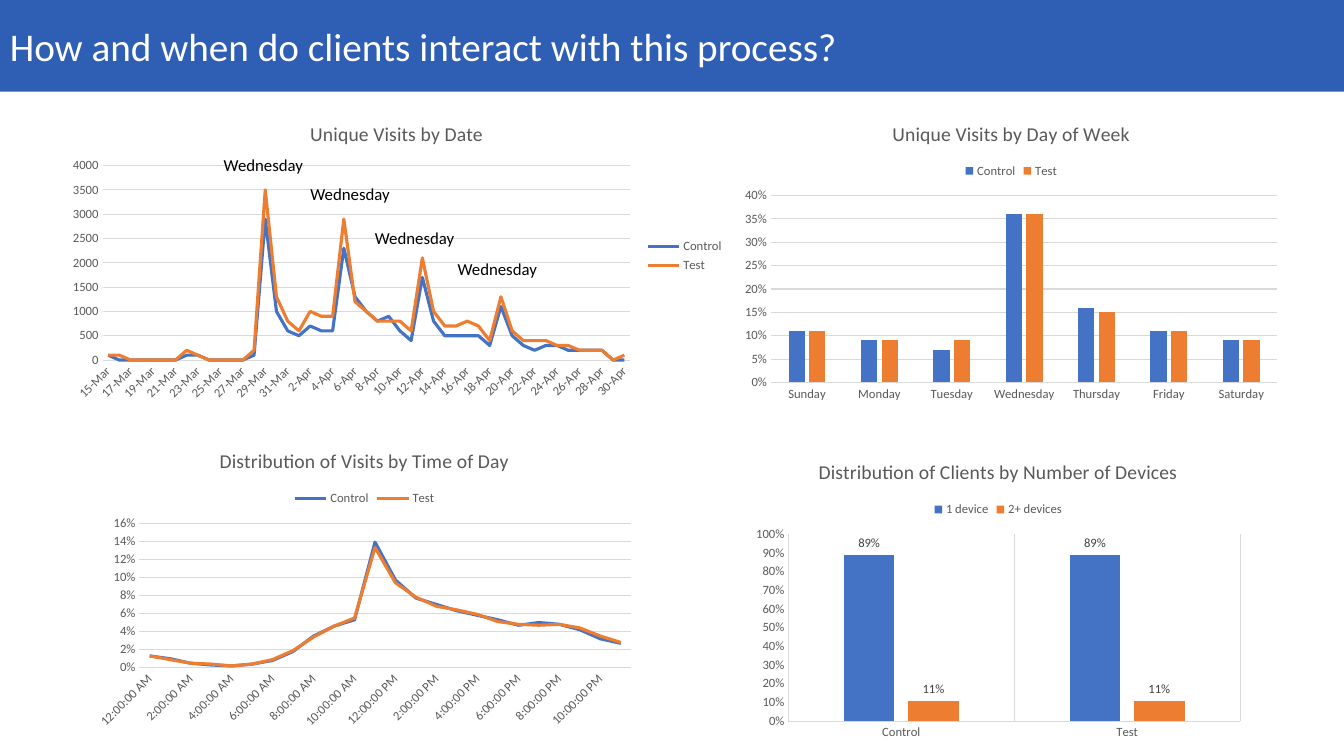
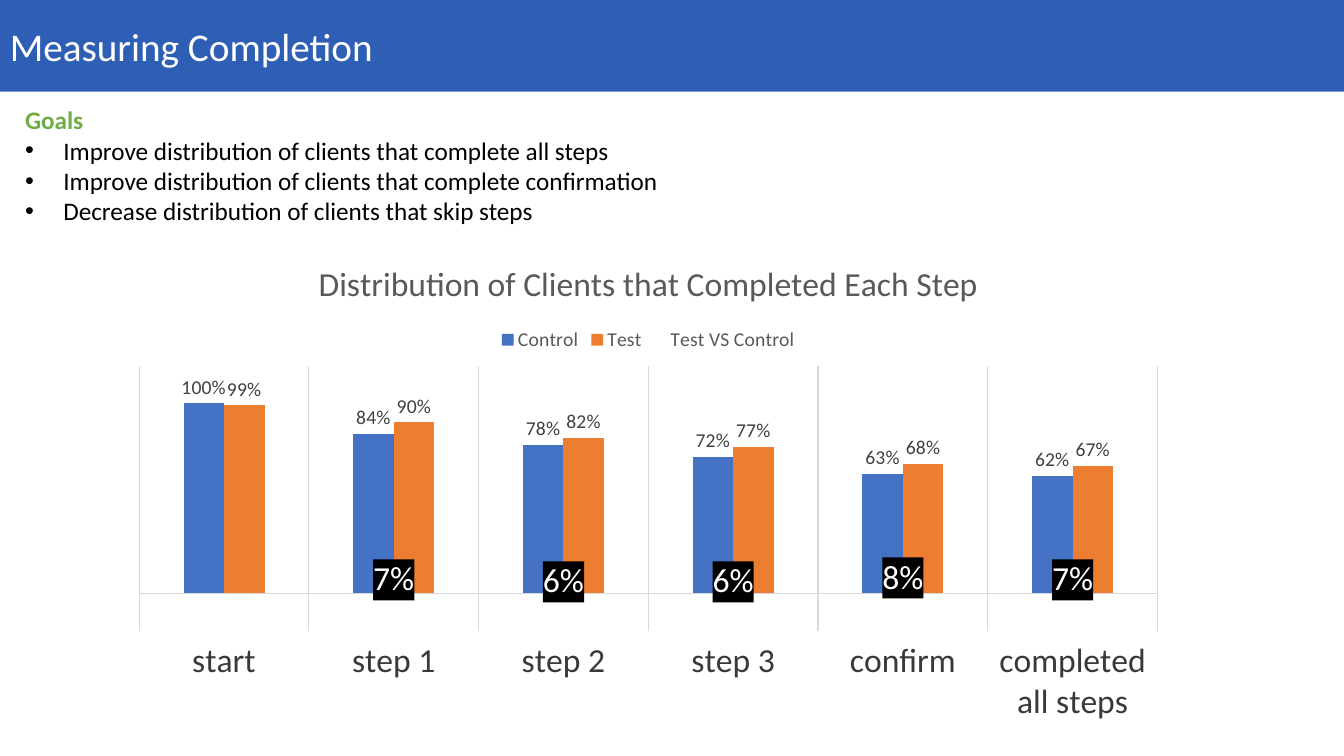
from lxml import etree
from pptx import Presentation
from pptx.chart.data import CategoryChartData
from pptx.dml.color import RGBColor
from pptx.enum.chart import XL_CHART_TYPE as ChartType
from pptx.enum.chart import XL_LABEL_POSITION as LabelPosition
from pptx.enum.chart import XL_LEGEND_POSITION as LegendPosition
from pptx.enum.chart import XL_MARKER_STYLE as MarkerStyle
from pptx.enum.chart import XL_TICK_LABEL_POSITION as TickLabels
from pptx.enum.chart import XL_TICK_MARK as TickMark
from pptx.enum.shapes import MSO_SHAPE as Shape
from pptx.enum.text import MSO_ANCHOR as Anchor
from pptx.enum.text import PP_ALIGN as Align
from pptx.oxml import parse_xml
from pptx.oxml.ns import nsdecls, qn
from pptx.util import Inches, Pt

# Shared look
FONT = "Calibri"
BAND_BLUE = RGBColor(0x2F, 0x5F, 0xB4)
BLUE = RGBColor(0x44, 0x72, 0xC4)
ORANGE = RGBColor(0xED, 0x7D, 0x31)
GREEN = RGBColor(0x70, 0xAD, 0x47)
GRID_GREY = RGBColor(0xD9, 0xD9, 0xD9)
TEXT_GREY = RGBColor(0x59, 0x59, 0x59)
LABEL_GREY = RGBColor(0x40, 0x40, 0x40)
STEP_GREY = RGBColor(0x3B, 0x38, 0x38)
WHITE = RGBColor(0xFF, 0xFF, 0xFF)
BLACK = RGBColor(0, 0, 0)
SLIDE_WIDTH = 13.33

# Category names
DATES = [f"{day}-Mar" for day in range(15, 32)] + [f"{day}-Apr" for day in range(1, 31)]
HOURS = [f"{hour}:00:00 {half}" for half in ("AM", "PM") for hour in (12, *range(1, 12))]
DAYS = ["Sunday", "Monday", "Tuesday", "Wednesday", "Thursday", "Friday", "Saturday"]
STEPS = ["start", "step 1", "step 2", "step 3", "confirm", "completed all steps"]

# Chart values
VISITS_BY_DATE = {
    "Control": [100, 0, 0, 0, 0, 0, 0, 100, 100, 0, 0, 0, 0, 100, 2900, 1000, 600, 500,
                700, 600, 600, 2300, 1300, 1000, 800, 900, 600, 400, 1700, 800, 500, 500,
                500, 500, 300, 1100, 500, 300, 200, 300, 300, 200, 200, 200, 200, 0, 0],
    "Test": [100, 100, 0, 0, 0, 0, 0, 200, 100, 0, 0, 0, 0, 200, 3500, 1300, 800, 600,
             1000, 900, 900, 2900, 1200, 1000, 800, 800, 800, 600, 2100, 1000, 700, 700,
             800, 700, 400, 1300, 600, 400, 400, 400, 300, 300, 200, 200, 200, 0, 100],
}
VISITS_BY_DAY = {
    "Control": [0.11, 0.09, 0.07, 0.36, 0.16, 0.11, 0.09],
    "Test": [0.11, 0.09, 0.09, 0.36, 0.15, 0.11, 0.09],
}
VISITS_BY_HOUR = {
    "Control": [0.013, 0.01, 0.005, 0.003, 0.002, 0.004, 0.008, 0.018, 0.035, 0.046, 0.053,
                0.139, 0.097, 0.077, 0.07, 0.063, 0.058, 0.053, 0.047, 0.05, 0.048, 0.042,
                0.032, 0.027],
    "Test": [0.013, 0.009, 0.005, 0.004, 0.002, 0.004, 0.009, 0.019, 0.034, 0.046, 0.055,
             0.133, 0.094, 0.078, 0.068, 0.064, 0.059, 0.051, 0.048, 0.047, 0.048, 0.044,
             0.035, 0.028],
}
DEVICES = {"1 device": [0.89, 0.89], "2+ devices": [0.11, 0.11]}
COMPLETION = {
    "Control": [1, 0.84, 0.78, 0.72, 0.63, 0.62],
    "Test": [0.99, 0.9, 0.82, 0.77, 0.68, 0.67],
    "Test VS Control": [-0.01, 0.07, 0.06, 0.06, 0.08, 0.07],
}


def style_font(font, size, color, bold=False):
    values = {"name": FONT, "size": Pt(size), "bold": bold}
    for name, value in values.items():
        setattr(font, name, value)
    font.color.rgb = color


def style_line(line, color, width):
    line.color.rgb = color
    line.width = Pt(width)


def add_title_band(slide, title):
    band = slide.shapes.add_shape(Shape.RECTANGLE, 0, 0, Inches(SLIDE_WIDTH), Inches(0.91))
    band.shadow.inherit = False
    band.fill.solid()
    band.fill.fore_color.rgb = BAND_BLUE
    band.line.fill.background()
    band.text_frame.vertical_anchor = Anchor.MIDDLE
    paragraph = band.text_frame.paragraphs[0]
    paragraph.text = title
    paragraph.alignment = Align.LEFT
    style_font(paragraph.runs[0].font, 28, WHITE)


def add_text_box(slide, left, top, width, height):
    box = slide.shapes.add_textbox(*map(Inches, (left, top, width, height)))
    box.text_frame.word_wrap = True
    return box.text_frame


def add_peak_label(slide, left, top):
    paragraph = add_text_box(slide, left, top, 1.05, 0.3).paragraphs[0]
    paragraph.text = "Wednesday"
    style_font(paragraph.runs[0].font, 12, BLACK)


def add_bullet(paragraph):
    properties = paragraph._p.get_or_add_pPr()
    properties.set("marL", str(Inches(0.38)))
    properties.set("indent", str(-Inches(0.38)))
    etree.SubElement(properties, qn("a:buFont")).set("typeface", "Arial")
    etree.SubElement(properties, qn("a:buChar")).set("char", "•")


def add_goals(slide, goals):
    frame = add_text_box(slide, 0.15, 0.99, 6.74, 1.31)
    heading = frame.paragraphs[0]
    heading.text = "Goals"
    style_font(heading.runs[0].font, 18, GREEN, bold=True)
    for goal in goals:
        paragraph = frame.add_paragraph()
        add_bullet(paragraph)
        paragraph.text = goal
        style_font(paragraph.runs[0].font, 18, BLACK)


def style_axes(chart, scale, category_size, category_color, column_grid):
    category_axis, value_axis = chart.category_axis, chart.value_axis
    for axis, size, color in ((category_axis, category_size, category_color),
                              (value_axis, 9, TEXT_GREY)):
        axis.major_tick_mark = axis.minor_tick_mark = TickMark.NONE
        style_font(axis.tick_labels.font, size, color)
    # This angle means automatic rotation
    category_axis._element.txPr.bodyPr.set("rot", "-60000000")
    style_line(category_axis.format.line, GRID_GREY, 0.75)
    value_axis.format.line.fill.background()
    value_axis.minimum_scale, value_axis.maximum_scale, value_axis.major_unit = scale
    category_axis.has_major_gridlines = column_grid
    value_axis.has_major_gridlines = not column_grid
    gridded = category_axis if column_grid else value_axis
    style_line(gridded.major_gridlines.format.line, GRID_GREY, 0.75)


def add_chart(slide, kind, place, title, categories, values, scale, number_format="0%",
              title_size=14, legend=LegendPosition.TOP, legend_size=9, category_size=9,
              category_color=TEXT_GREY, column_grid=False, overlap=-27):
    data = CategoryChartData(number_format=number_format)
    data.categories = categories
    for name, numbers in values.items():
        data.add_series(name, numbers)
    chart = slide.shapes.add_chart(kind, *map(Inches, place), data).chart
    style_font(chart.font, 10, BLACK)

    # Title and legend
    paragraph = chart.chart_title.text_frame.paragraphs[0]
    paragraph.text = title
    style_font(paragraph.runs[0].font, title_size, TEXT_GREY)
    chart.has_legend = True
    chart.legend.position = legend
    chart.legend.include_in_layout = False
    style_font(chart.legend.font, legend_size, TEXT_GREY)

    # Axes and series
    style_axes(chart, scale, category_size, category_color, column_grid)
    chart.value_axis.tick_labels.number_format = number_format
    chart.value_axis.tick_labels.number_format_is_linked = False
    plot = chart.plots[0]
    plot.vary_by_categories = False
    if kind == ChartType.COLUMN_CLUSTERED:
        plot.gap_width, plot.overlap = 219, overlap
    for series, color in zip(plot.series, (BLUE, ORANGE)):
        if kind == ChartType.LINE:
            series.smooth = False
            series.marker.style = MarkerStyle.NONE
            style_line(series.format.line, color, 2.25)
        else:
            series.format.fill.solid()
            series.format.fill.fore_color.rgb = color
    return chart


def add_value_labels(series, size, color, position=LabelPosition.OUTSIDE_END):
    labels = series.data_labels
    values = {"show_value": True, "number_format": "0%", "number_format_is_linked": False,
              "position": position}
    for name, value in values.items():
        setattr(labels, name, value)
    style_font(labels.font, size, color)
    return labels


def turn_last_series_into_line(chart):
    """Move the last column series to a line plot on the same axes."""
    columns = chart.plots[0]._element
    series = columns.findall(qn("c:ser"))[-1]
    for flag in series.findall(qn("c:invertIfNegative")):
        series.remove(flag)
    line_plot = parse_xml(
        f'<c:lineChart {nsdecls("c")}><c:grouping val="standard"/>'
        '<c:varyColors val="0"/><c:marker val="1"/></c:lineChart>')
    line_plot.insert(2, series)
    for axis in columns.findall(qn("c:axId")):
        etree.SubElement(line_plot, qn("c:axId")).set("val", axis.get("val"))
    columns.addnext(line_plot)
    return chart.plots[1].series[0]


def add_difference_labels(series):
    """Show only black value tags, with none on the first point."""
    series.smooth = False
    series.marker.style = MarkerStyle.NONE
    series.format.line.fill.background()
    labels = add_value_labels(series, 24, WHITE, LabelPosition.CENTER)._element
    labels.find(qn("c:txPr")).addprevious(parse_xml(
        f'<c:spPr {nsdecls("c", "a")}><a:solidFill><a:srgbClr val="{BLACK}"/>'
        '</a:solidFill></c:spPr>'))
    labels.insert(0, parse_xml(
        f'<c:dLbl {nsdecls("c")}><c:idx val="0"/><c:delete val="1"/></c:dLbl>'))


def build_visits_slide(slide):
    add_chart(slide, ChartType.LINE, (0.59, 1.04, 6.69, 3), "Unique Visits by Date",
              DATES, VISITS_BY_DATE, (0, 4000, 500), number_format="General",
              legend=LegendPosition.RIGHT)
    add_chart(slide, ChartType.COLUMN_CLUSTERED, (7.28, 1.04, 5.5, 3),
              "Unique Visits by Day of Week", DAYS, VISITS_BY_DAY, (0, 0.4, 0.05))
    add_title_band(slide, "How and when do clients interact with this process?")
    for left, top in ((2.12, 1.49), (2.98, 1.77), (3.62, 2.21), (4.44, 2.52)):
        add_peak_label(slide, left, top)
    add_chart(slide, ChartType.LINE, (0.86, 4.29, 5.51, 3),
              "Distribution of Visits by Time of Day", HOURS, VISITS_BY_HOUR,
              (0, 0.16, 0.02))
    devices = add_chart(slide, ChartType.COLUMN_CLUSTERED, (7.4, 4.4, 5, 3),
                        "Distribution of Clients by Number of Devices",
                        ["Control", "Test"], DEVICES, (0, 1, 0.1), column_grid=True)
    for series in devices.plots[0].series:
        add_value_labels(series, 9, LABEL_GREY)


def build_completion_slide(slide):
    chart = add_chart(slide, ChartType.COLUMN_CLUSTERED, (1.17, 2.38, 10.52, 4.89),
                      "Distribution of Clients that Completed Each Step", STEPS, COMPLETION,
                      (-0.2, 1.2, 0.2), title_size=24, legend_size=14, category_size=24,
                      category_color=STEP_GREY, column_grid=True, overlap=0)
    chart.value_axis.visible = False
    chart.category_axis.tick_label_position = TickLabels.LOW
    difference = turn_last_series_into_line(chart)
    for series in chart.plots[0].series:
        add_value_labels(series, 14, LABEL_GREY)
    add_difference_labels(difference)
    add_title_band(slide, "Measuring Completion")
    add_goals(slide, ["Improve distribution of clients that complete all steps",
                      "Improve distribution of clients that complete confirmation",
                      "Decrease distribution of clients that skip steps"])


def main():
    presentation = Presentation()
    presentation.slide_width = Inches(SLIDE_WIDTH)
    presentation.slide_height = Inches(7.5)
    for build in (build_visits_slide, build_completion_slide):
        build(presentation.slides.add_slide(presentation.slide_layouts[6]))
    presentation.save("out.pptx")


if __name__ == "__main__":
    main()
